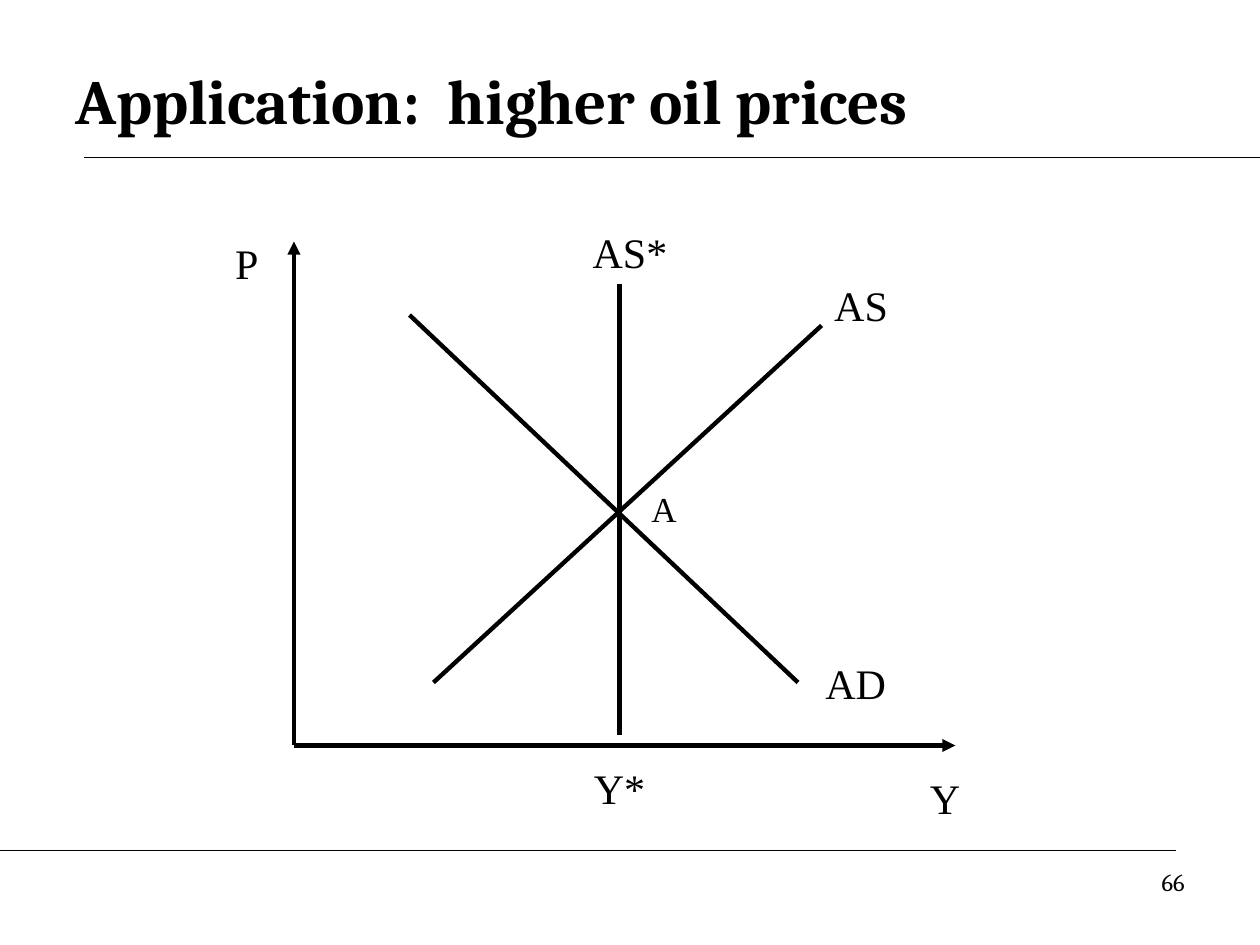
from typing import NamedTuple

from lxml import etree
from pptx import Presentation
from pptx.dml.color import RGBColor
from pptx.enum.shapes import MSO_CONNECTOR
from pptx.enum.text import MSO_ANCHOR, PP_ALIGN
from pptx.oxml.ns import qn
from pptx.slide import Slide
from pptx.util import Pt

STRAIGHT = MSO_CONNECTOR.STRAIGHT
TOP, MIDDLE = MSO_ANCHOR.TOP, MSO_ANCHOR.MIDDLE
LEFT, CENTER, RIGHT = PP_ALIGN.LEFT, PP_ALIGN.CENTER, PP_ALIGN.RIGHT
BLACK = "000000"
HEADING_FONT, LABEL_FONT = "Cambria", "Times New Roman"
RULE_WEIGHT, CURVE_WEIGHT = 0.75, 2.5
ORIGIN_X, ORIGIN_Y = 168, 426
OUTPUT_X = 354


class Line(NamedTuple):
    """A straight line between two points."""

    x1: float
    y1: float
    x2: float
    y2: float
    weight: float = CURVE_WEIGHT
    arrow: bool = False


class Label(NamedTuple):
    """A one-paragraph text box."""

    text: str
    left: float
    top: float
    width: float
    height: float = 36
    size: float = 24
    font: str = LABEL_FONT
    align: PP_ALIGN = CENTER
    anchor: MSO_ANCHOR = TOP
    bold: bool = False


LINES = [
    Line(48, 90, 720, 90, RULE_WEIGHT),
    Line(0, 486, 672, 486, RULE_WEIGHT),
    Line(ORIGIN_X, ORIGIN_Y, 546, ORIGIN_Y, arrow=True),
    Line(ORIGIN_X, ORIGIN_Y, ORIGIN_X, 138, arrow=True),
    Line(247.7, 390, 469.5, 186),
    Line(456, 390, 234, 180),
    Line(OUTPUT_X, 420, OUTPUT_X, 162),
]

LABELS = [
    Label("Application:  higher oil prices", 36, 24, 648, 66, 36,
          HEADING_FONT, LEFT, MIDDLE, True),
    Label("Y", 516, 438, 48),
    Label("P", 120, 132, 42),
    Label("AS", 468, 156, 48),
    Label("AD", 456, 372, 66),
    Label("AS*", 318, 126, 84),
    Label("Y*", 330, 432, 48),
    Label("A", 358.5, 275, 42, 31, 20),
    Label("66", 516, 492, 168, 37.5, 14, HEADING_FONT, RIGHT),
]


def color(value: str) -> RGBColor:
    """Turn a hex string into a colour."""
    return RGBColor.from_string(value)


def draw_line(page: Slide, line: Line) -> None:
    """Draw a line, with an arrowhead at its end if asked."""
    connector = page.shapes.add_connector(
        STRAIGHT, Pt(line.x1), Pt(line.y1), Pt(line.x2), Pt(line.y2))
    connector.line.width = Pt(line.weight)
    connector.line.color.rgb = color(BLACK)
    if line.arrow:
        outline = connector.line._get_or_add_ln()
        etree.SubElement(outline, qn("a:tailEnd"), type="triangle")
    etree.SubElement(connector._element.spPr, qn("a:effectLst"))


def draw_label(page: Slide, label: Label) -> None:
    """Draw a text box with one formatted paragraph."""
    box = page.shapes.add_textbox(
        Pt(label.left), Pt(label.top), Pt(label.width), Pt(label.height))
    frame = box.text_frame
    frame.word_wrap = True
    frame.vertical_anchor = label.anchor
    para = frame.paragraphs[0]
    para.text = label.text
    para.alignment = label.align
    para.font.name = label.font
    para.font.size = Pt(label.size)
    para.font.bold = label.bold
    para.font.color.rgb = color(BLACK)


def main() -> None:
    """Build the supply and demand slide."""
    deck = Presentation()
    deck.slide_width, deck.slide_height = Pt(720), Pt(540)
    page = deck.slides.add_slide(deck.slide_layouts[6])
    for line in LINES:
        draw_line(page, line)
    for label in LABELS:
        draw_label(page, label)
    deck.save("out.pptx")


if __name__ == "__main__":
    main()
